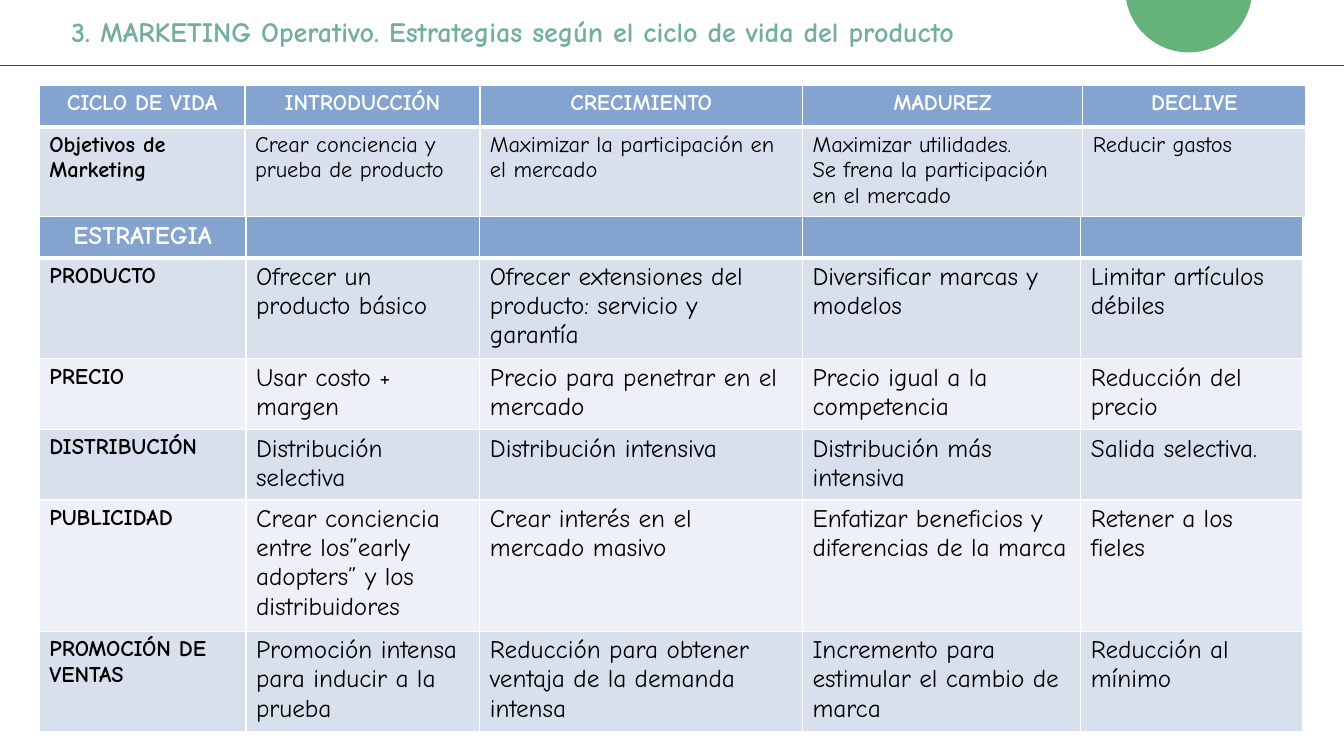
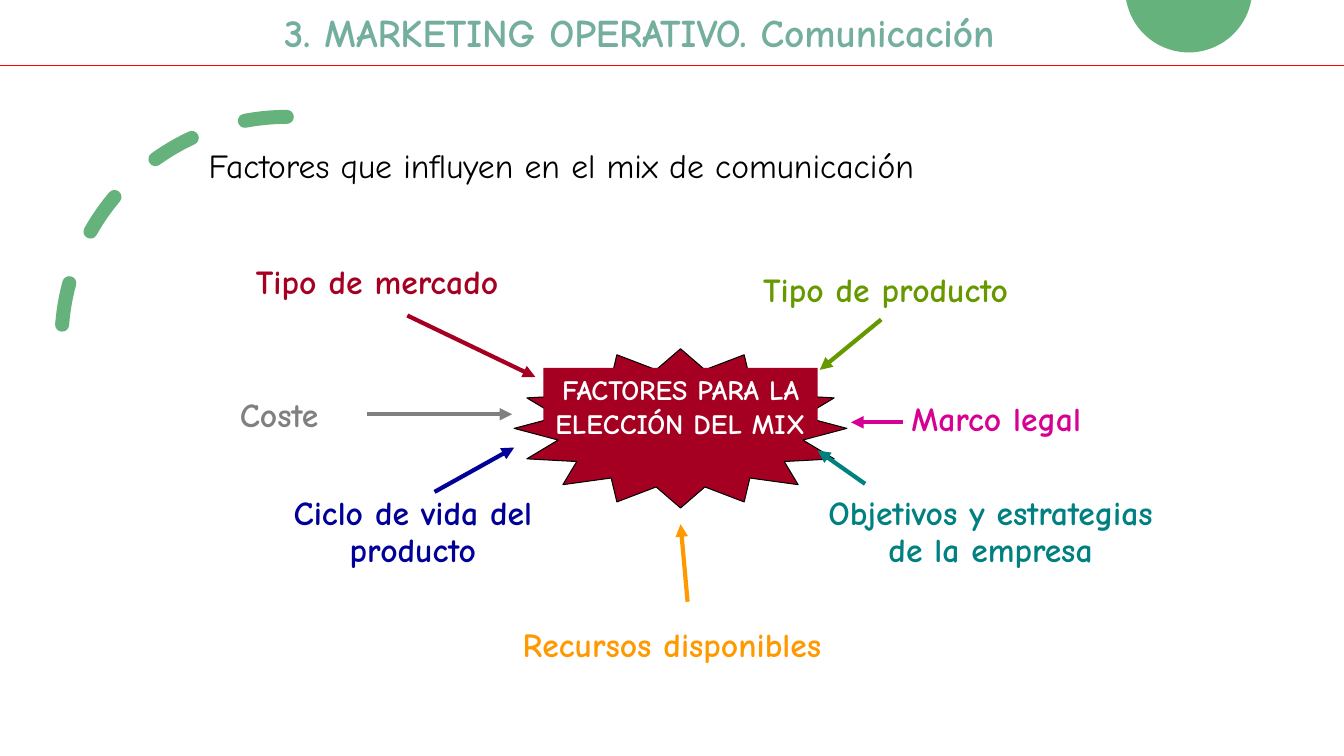
from math import asin, cos, pi, sin

from lxml.etree import SubElement
from pptx import Presentation
from pptx.dml.color import RGBColor
from pptx.enum.dml import MSO_LINE
from pptx.enum.shapes import MSO_CONNECTOR, MSO_SHAPE
from pptx.enum.text import MSO_ANCHOR, PP_ALIGN
from pptx.oxml import parse_xml
from pptx.oxml.ns import nsdecls, qn
from pptx.util import Inches, Pt

FONT = "Comic Neue"
GREEN = "65B27D"
TITLE = "73AE9E"
RED = "FF0000"
WHITE = "FFFFFF"
BLACK = "000000"
CRIMSON = "A50021"
HEADER = "84A4CF"
BANDS = ("D9E0ED", "EDF0F6")

GOALS = [
    ["CICLO DE VIDA", "INTRODUCCIÓN", "CRECIMIENTO", "MADUREZ", "DECLIVE"],
    ["Objetivos de Marketing", "Crear conciencia y prueba de producto",
     "Maximizar la participación en el mercado",
     "Maximizar utilidades.\nSe frena la participación en el mercado",
     "Reducir gastos"],
]
STRATEGIES = [
    ["ESTRATEGIA", "", "", "", ""],
    ["PRODUCTO", "Ofrecer un producto básico",
     "Ofrecer extensiones del producto: servicio y garantía",
     "Diversificar marcas y modelos", "Limitar artículos débiles"],
    ["PRECIO", "Usar costo + margen", "Precio para penetrar en el mercado",
     "Precio igual a la competencia", "Reducción del precio"],
    ["DISTRIBUCIÓN", "Distribución selectiva", "Distribución intensiva",
     "Distribución más intensiva", "Salida selectiva."],
    ["PUBLICIDAD",
     "Crear conciencia entre los”early adopters” y los distribuidores",
     "Crear interés en el mercado masivo",
     "Enfatizar beneficios y diferencias de la marca", "Retener a los fieles"],
    ["PROMOCIÓN DE VENTAS", "Promoción intensa para inducir a la prueba",
     "Reducción para obtener ventaja de la demanda intensa",
     "Incremento para estimular el cambio de marca", "Reducción al mínimo"],
]
FACTORS = [
    ("Tipo de mercado", CRIMSON, (2.44, 2.58, 3.63, 0.47), PP_ALIGN.LEFT,
     (4.04, 3.13, 5.31, 3.74)),
    ("Tipo de producto", "669900", (7.47, 2.66, 3.9, 0.47), PP_ALIGN.LEFT,
     (8.74, 3.17, 8.13, 3.67)),
    ("Ciclo de vida del producto", "000099", (2.28, 4.88, 3.63, 0.83),
     PP_ALIGN.CENTER, (4.31, 4.88, 5.1, 4.44)),
    ("Recursos disponibles", "FF9900", (4.85, 6.19, 3.63, 0.47),
     PP_ALIGN.CENTER, (6.82, 5.97, 6.75, 5.2)),
    ("Objetivos y estrategias de la empresa", "008080",
     (8.01, 4.88, 3.63, 1.19), PP_ALIGN.CENTER, (8.58, 4.8, 8.11, 4.47)),
    ("Marco legal", "D60093", (8.94, 3.94, 2.6, 0.47), PP_ALIGN.LEFT,
     (8.96, 4.19, 8.44, 4.19)),
    ("Coste", "808080", (2.28, 3.9, 1.31, 0.47), PP_ALIGN.LEFT,
     (3.64, 4.11, 5.08, 4.11)),
]


def rgb(color):
    return RGBColor.from_string(color)


def box(at):
    return [Inches(v) for v in at]


def paint(obj, color):
    obj.fill.solid()
    obj.fill.fore_color.rgb = rgb(color)


def write(tf, text, size, color, bold=False, align=PP_ALIGN.LEFT, spacing=None):
    tf.word_wrap = True
    for i, line in enumerate(text.split("\n")):
        p = tf.paragraphs[0] if i == 0 else tf.add_paragraph()
        p.alignment = align
        if spacing:
            p.line_spacing = spacing
        r = p.add_run()
        r.text = line
        r.font.name = FONT
        r.font.size = Pt(size)
        r.font.bold = bold
        r.font.color.rgb = rgb(color)


def add_text(s, at, text, size, color, **style):
    write(s.shapes.add_textbox(*box(at)).text_frame, text, size, color, **style)


def add_shape(s, kind, at, fill=None, line=None, width=0.75):
    sp = s.shapes.add_shape(kind, *box(at))
    sp.shadow.inherit = False
    if fill:
        paint(sp, fill)
    else:
        sp.fill.background()
    if line:
        sp.line.color.rgb = rgb(line)
        sp.line.width = Pt(width)
    else:
        sp.line.fill.background()
    return sp


def add_line(s, ends, color, width, arrow=False):
    line = s.shapes.add_connector(MSO_CONNECTOR.STRAIGHT, *box(ends))
    line.line.color.rgb = rgb(color)
    line.line.width = Pt(width)
    if arrow:
        SubElement(line.line._get_or_add_ln(), qn("a:tailEnd"), type="triangle")
    SubElement(line._element.spPr, qn("a:effectLst"))


def add_cap(s):
    cx, cy, radius, steps = 11.79, -0.11, 0.63, 48
    start = asin(-cy / radius)
    angles = [start + (pi - 2 * start) * i / steps for i in range(steps + 1)]
    points = [(Inches(cx + radius * cos(a)), Inches(cy + radius * sin(a)))
              for a in angles]
    builder = s.shapes.build_freeform(*points[0])
    builder.add_line_segments(points[1:], close=True)
    sp = builder.convert_to_shape()
    sp.shadow.inherit = False
    paint(sp, GREEN)
    sp.line.fill.background()


def add_dashed_arc(s):
    sp = add_shape(s, MSO_SHAPE.ARC, (0.61, 1.16, 4.47, 4.47), line=GREEN, width=10)
    sp.line.dash_style = MSO_LINE.DASH
    sp.line._get_or_add_ln().set("cap", "rnd")
    sp._element.spPr.find(qn("a:xfrm")).set("flipH", "1")


def set_borders(cell, bottom):
    tcPr = cell._tc.get_or_add_tcPr()
    widths = {"lnL": 1, "lnR": 1, "lnT": 1, "lnB": bottom}
    for i, (side, width) in enumerate(widths.items()):
        tcPr.insert(i, parse_xml(
            f'<a:{side} {nsdecls("a")} w="{Pt(width)}"><a:solidFill>'
            f'<a:srgbClr val="{WHITE}"/></a:solidFill></a:{side}>'))


def add_grid(s, left, top, cols, heights, rows, head_size, body_size):
    at = (left, top, sum(cols), sum(heights))
    table = s.shapes.add_table(len(rows), len(cols), *box(at)).table
    for col, width in zip(table.columns, cols):
        col.width = Inches(width)
    for i, (row, height) in enumerate(zip(rows, heights)):
        table.rows[i].height = Inches(height)
        for j, text in enumerate(row):
            cell = table.cell(i, j)
            head = i == 0
            paint(cell, HEADER if head else BANDS[(i - 1) % 2])
            set_borders(cell, 3 if head else 1)
            if not text:
                continue
            if head:
                write(cell.text_frame, text, head_size, WHITE, True, PP_ALIGN.CENTER)
            else:
                write(cell.text_frame, text, body_size if j else 16, BLACK, j == 0)


def add_slide(prs, title, at, size):
    s = prs.slides.add_slide(prs.slide_layouts[6])
    add_cap(s)
    add_line(s, (0, 0.65, 13.33, 0.65), RED, 1.25)
    add_text(s, at, title, size, TITLE, bold=True)
    return s


def add_factor(s, text, color, at, align, ends):
    sp = add_shape(s, MSO_SHAPE.RECTANGLE, at, WHITE)
    sp.text_frame.vertical_anchor = MSO_ANCHOR.TOP
    write(sp.text_frame, text, 24, color, True, align, 0.9)


def life_cycle_slide(prs):
    s = add_slide(
        prs, "3. MARKETING Operativo. Estrategias según el ciclo de vida del producto",
        (0.61, 0.09, 12.09, 0.44), 20)
    add_grid(s, 0.39, 0.85, (2.04, 2.33, 3.2, 2.78, 2.21), (0.41, 0.89),
             GOALS, 16, 16)
    add_grid(s, 0.39, 2.15, (2.05, 2.32, 3.2, 2.76, 2.2),
             (0.41, 1, 0.7, 0.7, 1.3, 1), STRATEGIES, 18, 18)


def communication_slide(prs):
    s = add_slide(prs, "3. MARKETING OPERATIVO. Comunicación",
                  (2.72, 0.03, 9.35, 0.57), 28)
    add_dashed_arc(s)
    add_text(s, (1.97, 1.39, 11, 0.5),
             "Factores que influyen en el mix de comunicación", 24, BLACK)
    star = add_shape(s, MSO_SHAPE.STAR_16_POINT, (5.1, 3.46, 3.3, 1.58), CRIMSON, BLACK)
    star.adjustments[0] = 0.375
    core = add_shape(s, MSO_SHAPE.RECTANGLE, (5.39, 3.65, 2.72, 0.68), CRIMSON)
    tf = core.text_frame
    tf.margin_left = tf.margin_right = 0
    tf.vertical_anchor = MSO_ANCHOR.TOP
    write(tf, "FACTORES PARA LA ELECCIÓN DEL MIX", 20, WHITE, True, PP_ALIGN.CENTER)
    for factor in FACTORS:
        add_factor(s, *factor)
    for _, color, _, _, ends in FACTORS:
        add_line(s, ends, color, 3, arrow=True)


def main():
    prs = Presentation()
    prs.slide_width, prs.slide_height = Inches(13.33), Inches(7.5)
    life_cycle_slide(prs)
    communication_slide(prs)
    prs.save("out.pptx")


if __name__ == "__main__":
    main()
